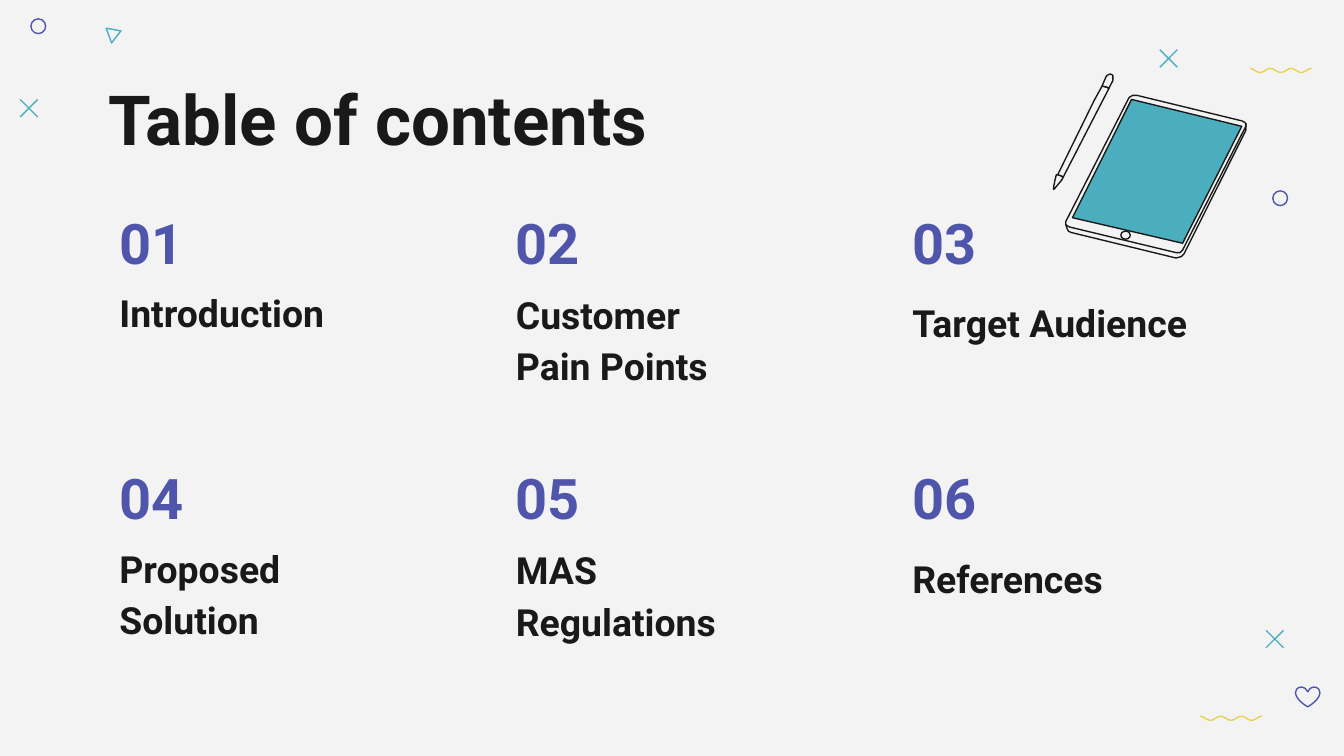
"""Build a table of contents slide with six numbered topics."""
from math import cos, pi

from lxml import etree
from pptx import Presentation
from pptx import util as u
from pptx.dml.color import RGBColor
from pptx.enum import shapes, text
from pptx.oxml.ns import qn

PAPER = RGBColor(0xF3, 0xF3, 0xF3)
INK = RGBColor(0x19, 0x19, 0x19)
BLUE = RGBColor(0x4F, 0x55, 0xAB)
TEAL = RGBColor(0x4A, 0xAE, 0xBF)
GOLD = RGBColor(0xE8, 0xD2, 0x4F)

TOPICS = [
    (["Introduction"], 2.06, 2.52, 0.53),
    (["Customer", "Pain Points"], 2.06, 2.07, 0.93),
    (["Target Audience"], 2.14, 2.52, 0.53),
    (["Proposed", "Solution"], 3.93, 1.63, 0.95),
    (["MAS", "Regulations"], 3.96, 1.97, 0.93),
    (["References"], 4.04, 2.52, 0.53),
]
SCREEN = [(9.24, 0.94), (8.42, 0.74), (7.98, 1.62), (8.8, 1.81)]
FACE = [(9.27, 0.94), (9.27, 0.92), (9.26, 0.91), (9.24, 0.9), (8.46, 0.71),
        (8.43, 0.71), (8.41, 0.72), (8.4, 0.73), (7.93, 1.65), (7.93, 1.67),
        (7.94, 1.68), (7.96, 1.69), (8.75, 1.88), (8.78, 1.88), (8.8, 1.86)]
BASE = [(9.27, 0.92), (9.27, 0.97), (8.81, 1.89), (8.79, 1.91), (8.75, 1.92),
        (7.97, 1.73), (7.95, 1.72), (7.94, 1.7), (7.93, 1.67)]
TIP = [(7.91, 1.32), (7.9, 1.34), (7.85, 1.4), (7.84, 1.41), (7.84, 1.39),
       (7.85, 1.34), (7.86, 1.3), (7.87, 1.3), (7.9, 1.31)]
STEM = [(8.25, 0.66), (8.09, 0.97), (7.91, 1.32), (7.9, 1.31), (7.87, 1.3),
        (8.14, 0.75), (8.2, 0.64), (8.24, 0.65)]
CAP = [(8.28, 0.58), (8.28, 0.6), (8.25, 0.66), (8.24, 0.65), (8.2, 0.64),
       (8.23, 0.57), (8.24, 0.56), (8.26, 0.55), (8.28, 0.56)]


def paint(shape, line, fill=None):
    """Give a shape its thin outline and optional fill."""
    shape.shadow.inherit = False
    shape.line.color.rgb = line
    shape.line.width = u.Pt(0.75)
    if fill is None:
        shape.fill.background()
    else:
        shape.fill.solid()
        shape.fill.fore_color.rgb = fill


def draw(slide, points, line, fill=None, close=True):
    """Draw an outline through points given in inches."""
    spots = [(u.Inches(x), u.Inches(y)) for x, y in points]
    pen = slide.shapes.build_freeform(*spots[0])
    pen.add_line_segments(spots[1:], close=close)
    paint(pen.convert_to_shape(), line, fill)


def preset(slide, kind, box, line, fill=None):
    """Add a preset shape in a box given in inches."""
    shape = slide.shapes.add_shape(kind, *map(u.Inches, box))
    paint(shape, line, fill)


def cross(slide, x, y, size=0.13):
    """Add two crossing lines."""
    for top, end in ((y, y + size), (y + size, y)):
        bar = slide.shapes.add_connector(
            shapes.MSO_CONNECTOR.STRAIGHT,
            *map(u.Inches, (x, top, x + size, end)))
        bar.line.color.rgb = TEAL
        bar.line.width = u.Pt(0.75)
        etree.SubElement(bar._element.spPr, qn("a:effectLst"))


def wave(slide, x, y, width=0.46, steps=48):
    """Draw a wavy line of three periods."""
    points = [(x + width * i / steps,
               y + 0.015 * (1 - cos(6 * pi * i / steps)))
              for i in range(steps + 1)]
    draw(slide, points, GOLD, close=False)


def write(shape, box, lines, size, color, anchor, gap=None):
    """Place a text shape and fill it with bold lines."""
    shape.left, shape.top, shape.width, shape.height = map(u.Inches, box)
    frame = shape.text_frame
    frame.text = "\n".join(lines)
    frame.word_wrap = True
    frame.auto_size = text.MSO_AUTO_SIZE.NONE
    frame.vertical_anchor = anchor
    frame.margin_left = frame.margin_right = u.Inches(0.1)
    frame.margin_top = frame.margin_bottom = u.Inches(0.1)
    for para in frame.paragraphs:
        para.alignment = text.PP_ALIGN.LEFT
        para.line_spacing = gap
        para.font.name = "Roboto"
        para.font.size = u.Pt(size)
        para.font.bold = True
        para.font.color.rgb = color


def label(slide, box, lines, size, color, gap=None):
    """Add a text box that sits on its bottom edge."""
    shape = slide.shapes.add_textbox(0, 0, 0, 0)
    write(shape, box, lines, size, color, text.MSO_ANCHOR.BOTTOM, gap)


def decor(slide):
    """Scatter the small ornaments along the edges."""
    for x, y in ((0.15, 0.74), (9.42, 4.69), (8.63, 0.37)):
        cross(slide, x, y)
    for x, y in ((0.23, 0.14), (9.47, 1.42)):
        preset(slide, shapes.MSO_SHAPE.OVAL, (x, y, 0.11, 0.11), BLUE)
    for x, y in ((8.93, 5.33), (9.3, 0.51)):
        wave(slide, x, y)
    draw(slide, [(0.79, 0.21), (0.83, 0.32), (0.9, 0.23)], TEAL)
    preset(slide, shapes.MSO_SHAPE.HEART, (9.64, 5.11, 0.18, 0.15), BLUE)


def tablet(slide):
    """Draw the tablet and its pen."""
    for part in (BASE, FACE):
        draw(slide, part, INK, PAPER)
    draw(slide, SCREEN, INK, TEAL)
    preset(slide, shapes.MSO_SHAPE.OVAL, (8.34, 1.72, 0.07, 0.06), INK, PAPER)
    for part in (TIP, STEM, CAP):
        draw(slide, part, INK, PAPER)


def main():
    """Build and save the slide."""
    deck = Presentation()
    deck.slide_width = u.Inches(10)
    deck.slide_height = u.Inches(10 * 9 / 16)
    slide = deck.slides.add_slide(deck.slide_layouts.get_by_name("Title Only"))
    slide.background.fill.solid()
    slide.background.fill.fore_color.rgb = PAPER
    decor(slide)
    write(slide.shapes.title, (0.71, 0.47, 8.43, 0.73), ["Table of contents"],
          37, INK, text.MSO_ANCHOR.TOP)
    for i, (lines, top, width, height) in enumerate(TOPICS):
        row, col = divmod(i, 3)
        x = 0.79 + 2.95 * col
        label(slide, (x, 1.52 + 1.9 * row, 1.01, 0.63),
              [f"{i + 1:02}"], 30, BLUE)
        label(slide, (x, top, width, height), lines, 20, INK, 1.15)
    tablet(slide)
    deck.save("out.pptx")


if __name__ == "__main__":
    main()
